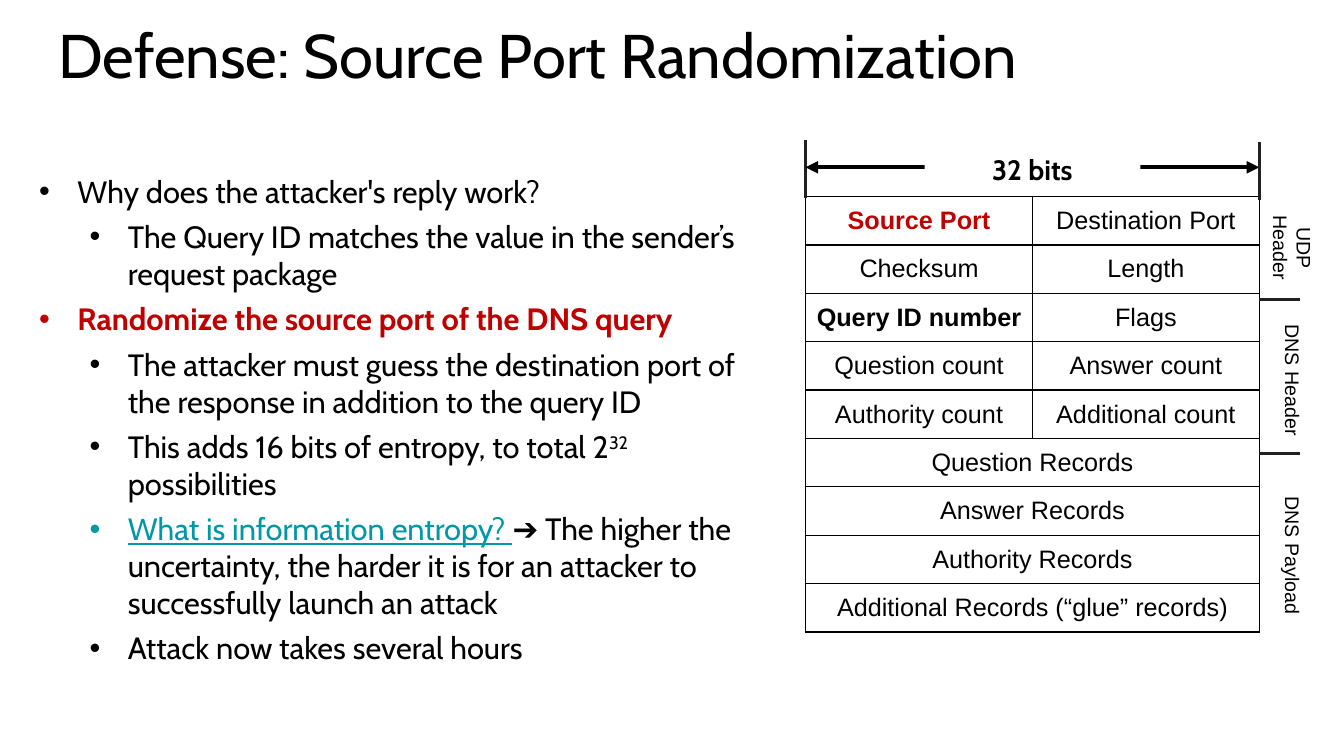
from lxml import etree
from pptx import Presentation
from pptx.dml.color import RGBColor
from pptx.enum.shapes import MSO_CONNECTOR, MSO_SHAPE
from pptx.enum.text import MSO_ANCHOR, PP_ALIGN
from pptx.oxml.ns import qn
from pptx.util import Pt

STRAIGHT = MSO_CONNECTOR.STRAIGHT
RECTANGLE = MSO_SHAPE.RECTANGLE
MIDDLE = MSO_ANCHOR.MIDDLE
TOP = MSO_ANCHOR.TOP
CENTER = PP_ALIGN.CENTER
LEFT = PP_ALIGN.LEFT

BLACK = RGBColor(0x00, 0x00, 0x00)
WHITE = RGBColor(0xFF, 0xFF, 0xFF)
RED = RGBColor(0xC0, 0x00, 0x00)
TEAL = RGBColor(0x00, 0x97, 0xA7)
CHARCOAL = RGBColor(0x20, 0x20, 0x20)

EMU_PER_PX = 9144
ROW_HEIGHT = 48

PACKET_ROWS = [
    ("Source Port", "Destination Port"),
    ("Checksum", "Length"),
    ("Query ID number", "Flags"),
    ("Question count", "Answer count"),
    ("Authority count", "Additional count"),
    ("Question Records",),
    ("Answer Records",),
    ("Authority Records",),
    ("Additional Records (“glue” records)",),
]
BOLD_FIELDS = {"Source Port": RED, "Query ID number": BLACK}

SECTION_LABELS = [
    ("UDP Header", 51, 87, 67),
    ("DNS Header", 182, 131, 44),
    ("DNS Payload", 356, 172, 44),
]
SECTION_BREAKS = [102, 255]

BULLETS = [
    (0, [("Why does the attacker's reply work?", {})]),
    (1, [("The Query ID matches the value in the sender’s request package", {})]),
    (0, [("Randomize the source port of the DNS query", {"color": RED, "bold": True})]),
    (1, [("The attacker must guess the destination port of the response "
          "in addition to the query ID", {})]),
    (1, [("This adds 16 bits of entropy, to total 2", {}),
         ("32", {"raised": True}),
         (" possibilities", {})]),
    (1, [("What is information entropy? ", {"color": TEAL, "underline": True}),
         ("➔ The higher the uncertainty, the harder it is for an attacker to "
          "successfully launch an attack", {})]),
    (1, [("Attack now takes several hours", {})]),
]


def px(length):
    return int(length * EMU_PER_PX)


def style_span(span, font, size, color=BLACK, bold=False, underline=False, raised=False):
    span.font.name = font
    span.font.size = Pt(size)
    span.font.color.rgb = color
    span.font.bold = bold
    span.font.underline = underline
    if raised:
        span.font._element.set("baseline", "30000")


def set_text(frame, text, font, size, align=CENTER, **style):
    frame.text = text
    para = frame.paragraphs[0]
    para.alignment = align
    style_span(para.runs[0], font, size, **style)


def add_text_box(page, left, top, width, height, inset_x, inset_y):
    box = page.shapes.add_textbox(px(left), px(top), px(width), px(height))
    frame = box.text_frame
    frame.word_wrap = True
    frame.vertical_anchor = TOP
    frame.margin_left = frame.margin_right = px(inset_x)
    frame.margin_top = frame.margin_bottom = px(inset_y)
    return box


def add_line(page, x1, y1, x2, y2, color, weight, arrows=False):
    line = page.shapes.add_connector(STRAIGHT, px(x1), px(y1), px(x2), px(y2))
    line.line.color.rgb = color
    line.line.width = Pt(weight)
    if arrows:
        outline = line.line._get_or_add_ln()
        for end in ("a:headEnd", "a:tailEnd"):
            etree.SubElement(outline, qn(end), type="triangle")
    etree.SubElement(line._element.spPr, qn("a:effectLst"))


def add_cell_borders(cell):
    properties = cell._tc.get_or_add_tcPr()
    for side in ("a:lnL", "a:lnR", "a:lnT", "a:lnB"):
        border = etree.SubElement(properties, qn(side), w=str(Pt(1)))
        fill = etree.SubElement(border, qn("a:solidFill"))
        etree.SubElement(fill, qn("a:srgbClr"), val=str(BLACK))


def add_title(page, left, top, width, height):
    box = add_text_box(page, left, top, width, height, 13, 13)
    set_text(box.text_frame, "Defense: Source Port Randomization", "Cabin", 44, LEFT)


def add_bullets(page, left, top, width, height):
    frame = add_text_box(page, left, top, width, height, 10, 5).text_frame
    for index, (level, spans) in enumerate(BULLETS):
        para = frame.add_paragraph() if index else frame.paragraphs[0]
        para.level = level
        para.space_after = Pt(6)
        properties = para._p.get_or_add_pPr()
        properties.set("marL", str(px(50 + 50 * level)))
        properties.set("indent", str(px(-38)))
        etree.SubElement(properties, qn("a:buFont"), typeface="Arial")
        etree.SubElement(properties, qn("a:buChar"), char="•")
        for text, style in spans:
            span = para.add_run()
            span.text = text
            style_span(span, "Cabin", 22, **style)


def add_packet_table(page, left, top, width):
    height = ROW_HEIGHT * len(PACKET_ROWS)
    frame = page.shapes.add_table(
        len(PACKET_ROWS), 2, px(left), px(top), px(width), px(height))
    table = frame.table
    table.first_row = False
    table.horz_banding = False
    for column in table.columns:
        column.width = px(width / 2)
    for row_index, fields in enumerate(PACKET_ROWS):
        table.rows[row_index].height = px(ROW_HEIGHT)
        for cell in table.rows[row_index].cells:
            add_cell_borders(cell)
            cell.fill.background()
            cell.vertical_anchor = MIDDLE
            cell.margin_left = cell.margin_right = px(9)
            cell.margin_top = cell.margin_bottom = px(9)
        if len(fields) == 1:
            table.cell(row_index, 0).merge(table.cell(row_index, 1))
        for column_index, field in enumerate(fields):
            set_text(table.cell(row_index, column_index).text_frame, field, "Arial", 18,
                     color=BOLD_FIELDS.get(field, BLACK), bold=field in BOLD_FIELDS)


def add_section_labels(page, left, top):
    center_x = left + 33
    for text, center_y, width, height in SECTION_LABELS:
        box = add_text_box(page, center_x - width / 2, top + center_y - height / 2,
                           width, height, 5, 10)
        box.rotation = 90
        set_text(box.text_frame, text, "Arial", 14)
    for offset in SECTION_BREAKS:
        add_line(page, left, top + offset, left + 40, top + offset, CHARCOAL, 2.5)


def add_width_marker(page, left, top, width):
    right = left + width
    add_line(page, left, top, left, top + 57, CHARCOAL, 2.5)
    add_line(page, left, top + 27, right, top + 27, BLACK, 3, arrows=True)
    add_line(page, right, top + 2, right, top + 59, CHARCOAL, 2.5)
    label = page.shapes.add_shape(
        RECTANGLE, px(left + 118), px(top + 7), px(214), px(44))
    label.shadow.inherit = False
    label.fill.solid()
    label.fill.fore_color.rgb = WHITE
    label.line.fill.background()
    label.text_frame.vertical_anchor = TOP
    set_text(label.text_frame, "32 bits", "Cabin", 20, bold=True)


def add_packet_diagram(page, left, top, width):
    table_top = top + 56
    add_packet_table(page, left, table_top, width)
    add_section_labels(page, left + width, table_top)
    add_width_marker(page, left, top, width)


def main():
    deck = Presentation()
    deck.slide_width = px(1333)
    deck.slide_height = px(750)
    page = deck.slides.add_slide(deck.slide_layouts[6])
    add_title(page, 45, 4, 1242, 84)
    add_packet_diagram(page, 799, 139, 450)
    add_bullets(page, 17, 166, 730, 505)
    deck.save("out.pptx")


if __name__ == "__main__":
    main()
